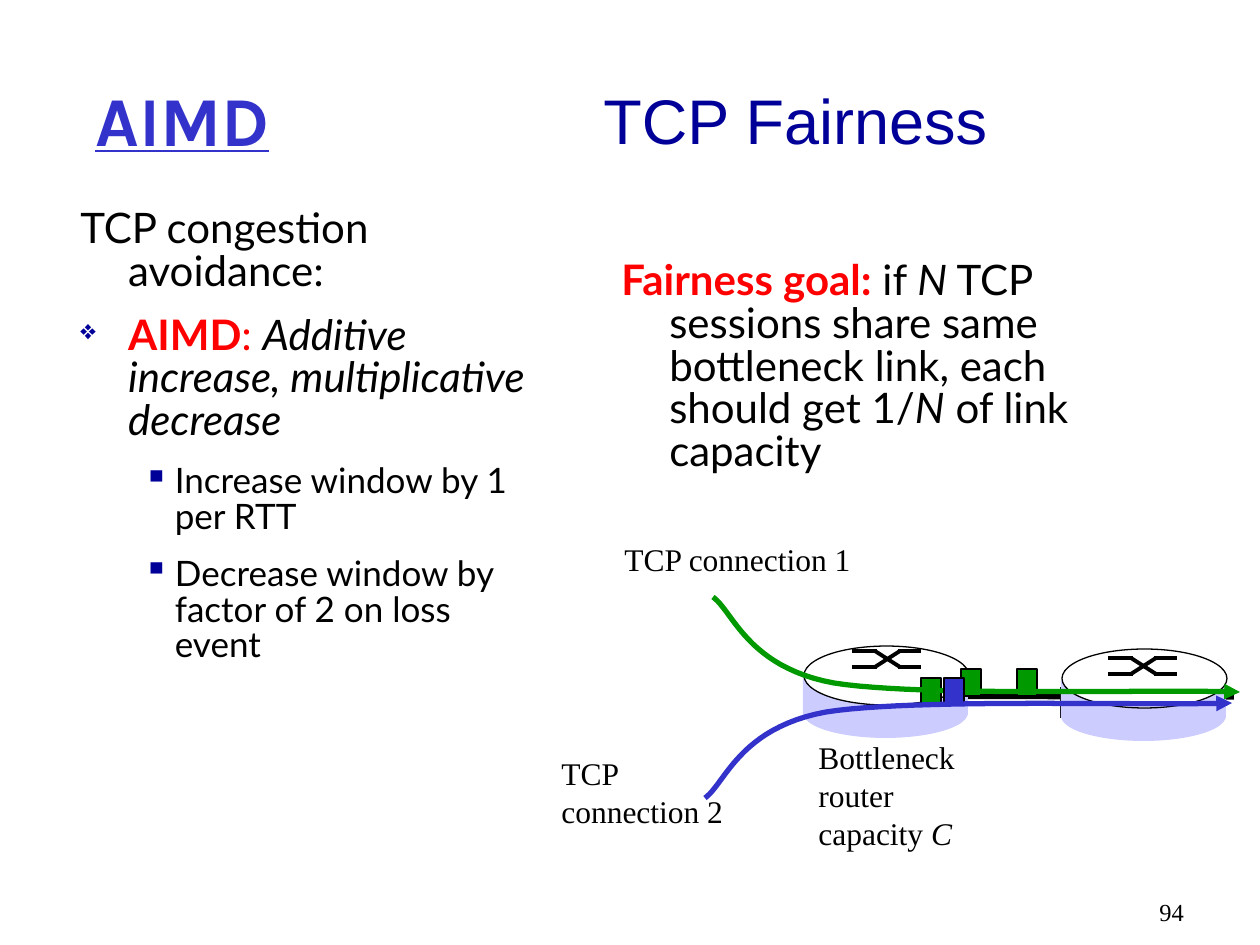
from dataclasses import dataclass

from lxml.etree import SubElement
from pptx import Presentation
from pptx.dml.color import RGBColor
from pptx.enum.shapes import MSO_CONNECTOR as Link, MSO_SHAPE as Kind
from pptx.enum.text import MSO_ANCHOR as Anchor, MSO_AUTO_SIZE as Fit
from pptx.oxml.ns import qn
from pptx.util import Inches, Pt

DPI = 126


@dataclass(frozen=True)
class Theme:
    navy: str = "000099"
    blue: str = "3333CC"
    lilac: str = "CCCCFF"
    green: str = "009900"
    red: str = "FF0000"
    black: str = "000000"
    white: str = "FFFFFF"
    title: int = 36
    head: int = 40
    body: int = 24
    sub: int = 20
    label: int = 18
    page: int = 14
    sans: str = "Arial"
    bold: str = "Karla"
    text: str = "Lato"
    serif: str = "Times New Roman"


T = Theme()


def px(n):
    return round(n * Inches(1) / DPI)


def rgb(code):
    return RGBColor.from_string(code)


def style(font, size, name, color):
    font.size, font.name = Pt(size), name
    font.color.rgb = rgb(color)


def add_box(slide, x, y, w, h, wrap=True, anchor=Anchor.TOP):
    box = slide.shapes.add_textbox(px(x), px(y), px(w), px(h))
    frame = box.text_frame
    frame.word_wrap = wrap
    frame.auto_size = Fit.NONE if wrap else Fit.SHAPE_TO_FIT_TEXT
    frame.vertical_anchor = anchor
    return frame


def add_runs(para, parts):
    """Add (text, marks) parts; marks hold b, i or r for bold, italic, red."""
    for text, marks in parts:
        run = para.add_run()
        run.text = text
        if "b" in marks:
            run.font.bold = True
        if "i" in marks:
            run.font.italic = True
        if "r" in marks:
            run.font.color.rgb = rgb(T.red)


def add_bullet(props, char, size):
    color = SubElement(props, qn("a:buClr"))
    SubElement(color, qn("a:srgbClr"), val=T.navy)
    SubElement(props, qn("a:buSzPct"), val=f"{size}000")
    SubElement(props, qn("a:buChar"), char=char)


def add_head(slide, x, w, text, size, name, color):
    frame = add_box(slide, x, 40, w, 158, anchor=Anchor.MIDDLE)
    para = frame.paragraphs[0]
    para.text = text
    style(para.font, size, name, color)
    return para.font


def add_body(slide, x, y, w, h, items):
    """Fill a box with (level, bullet, bullet size, parts) items."""
    frame = add_box(slide, x, y, w, h)
    for n, (level, char, scale, parts) in enumerate(items):
        para = frame.add_paragraph() if n else frame.paragraphs[0]
        para.level, para.line_spacing, para.space_after = level, 0.85, Pt(12)
        props = para._p.get_or_add_pPr()
        left, hang = ((0.38, 0.38), (0.75, 0.25))[level]
        props.set("marL", str(Inches(left)))
        props.set("indent", str(-Inches(hang)))
        if char:
            add_bullet(props, char, scale)
        size = T.sub if level else T.body
        style(para.font, size, T.text, T.black)
        add_runs(para, parts)


def add_label(slide, x, y, w, h, lines, size=T.label, wrap=False):
    frame = add_box(slide, x, y, w, h, wrap)
    for n, parts in enumerate(lines):
        para = frame.add_paragraph() if n else frame.paragraphs[0]
        style(para.font, size, T.serif, T.black)
        add_runs(para, parts)


def add_line(slide, x1, y1, x2, y2, width):
    line = slide.shapes.add_connector(
        Link.STRAIGHT, px(x1), px(y1), px(x2), px(y2))
    line.line.color.rgb = rgb(T.black)
    line.line.width = Pt(width)
    SubElement(line._element.spPr, qn("a:effectLst"))
    return line


def add_solid(slide, kind, x, y, w, h, fill, edge=True):
    shape = slide.shapes.add_shape(kind, px(x), px(y), px(w), px(h))
    shape.shadow.inherit = False
    shape.fill.solid()
    shape.fill.fore_color.rgb = rgb(fill)
    if edge:
        shape.line.color.rgb = rgb(T.black)
        shape.line.width = Pt(0.75)
    else:
        shape.line.fill.background()
    return shape


def add_router(slide, x, y):
    """Draw a router drum and return its side wall."""
    add_solid(slide, Kind.OVAL, x, y + 42, 165, 50, T.lilac, False)
    wall = add_solid(slide, Kind.RECTANGLE, x, y + 32, 165, 37, T.lilac, False)
    add_solid(slide, Kind.OVAL, x + 1, y, 165, 59, T.white)
    return wall


def add_cross(slide, x, y):
    """Draw the switch sign: two crossing strokes with level ends."""
    low = y + 16
    for top, end in ((y, low), (low, y)):
        add_line(slide, x, top, x + 25, top, 2.25)
        add_line(slide, x + 23, top, x + 48, end, 2.25)
        add_line(slide, x + 46, end, x + 69, end, 2.25)


def bezier(a, b, c, d, steps=24):
    for n in range(1, steps + 1):
        t = n / steps
        u = 1 - t
        yield tuple(px(u**3 * p + 3 * u * u * t * q + 3 * u * t * t * r + t**3 * s)
                    for p, q, r, s in zip(a, b, c, d))


def add_flow(slide, x, y, sign, color):
    """Draw a curved arrow; sign 1 bends down and -1 bends up."""
    path = [(x + dx, y + sign * dy) for dx, dy in (
        (0, 0), (20, 14), (34, 70), (121, 86), (209, 100), (442, 92), (527, 95))]
    pen = slide.shapes.build_freeform(px(x), px(y))
    pen.add_line_segments(
        [*bezier(*path[:4]), *bezier(*path[3:])], close=False)
    flow = pen.convert_to_shape()
    flow.shadow.inherit = False
    flow.fill.background()
    flow.line.color.rgb = rgb(color)
    flow.line.width = Pt(3)
    SubElement(flow.line._get_or_add_ln(), qn("a:tailEnd"), type="triangle")


def add_packet(slide, x, y, color):
    add_solid(slide, Kind.RECTANGLE, x, y, 20, 27, color)


def main():
    deck = Presentation()
    deck.slide_width, deck.slide_height = Inches(10), Inches(7.5)
    slide = deck.slides.add_slide(deck.slide_layouts[6])

    add_head(slide, 591, 451, "TCP Fairness", T.title, T.sans, T.navy)
    font = add_head(slide, 83, 451, "AIMD", T.head, T.bold, T.blue)
    font.bold = font.underline = True

    add_body(slide, 609, 255, 525, 302, [(0, "", 0, [
        ("Fairness goal:", "br"), (" if ", ""), ("N", "i"),
        (" TCP sessions share same bottleneck link, each should get 1/", ""),
        ("N", "i"), (" of link capacity", "")])])
    add_body(slide, 68, 203, 476, 640, [
        (0, "", 0, [("TCP congestion avoidance:", "")]),
        (0, "❖", 65, [("AIMD", "br"), (": ", "r"), (
            "Additive increase, multiplicative decrease", "i")]),
        (1, "▪", 100, [("Increase window by 1 per RTT", "")]),
        (1, "▪", 100, [("Decrease window by factor of 2 on loss event", "")])])
    add_label(slide, 1147, 891, 93, 38, [[("94", "")]], T.page, True)

    link = add_line(slide, 968, 696, 1234, 697, 3)
    wall = add_router(slide, 803, 646)
    link.begin_connect(wall, 3)
    add_cross(slide, 852, 651)
    add_line(slide, 1061, 687, 1061, 718, 1)
    add_router(slide, 1061, 649)
    add_cross(slide, 1108, 658)

    for x, y in ((1017, 669), (921, 678), (961, 669)):
        add_packet(slide, x, y, T.green)
    add_label(slide, 612, 534, 255, 50, [[("TCP connection 1", "")]])
    add_label(slide, 806, 732, 169, 127, [
        [("Bottleneck", "")], [("router", "")], [("capacity ", ""), ("C", "i")]])
    add_label(slide, 549, 748, 189, 89, [[("TCP", "")], [("connection 2", "")]])
    add_flow(slide, 713, 597, 1, T.green)
    add_packet(slide, 944, 678, T.blue)
    add_flow(slide, 705, 798, -1, T.blue)

    deck.save("out.pptx")


if __name__ == "__main__":
    main()
